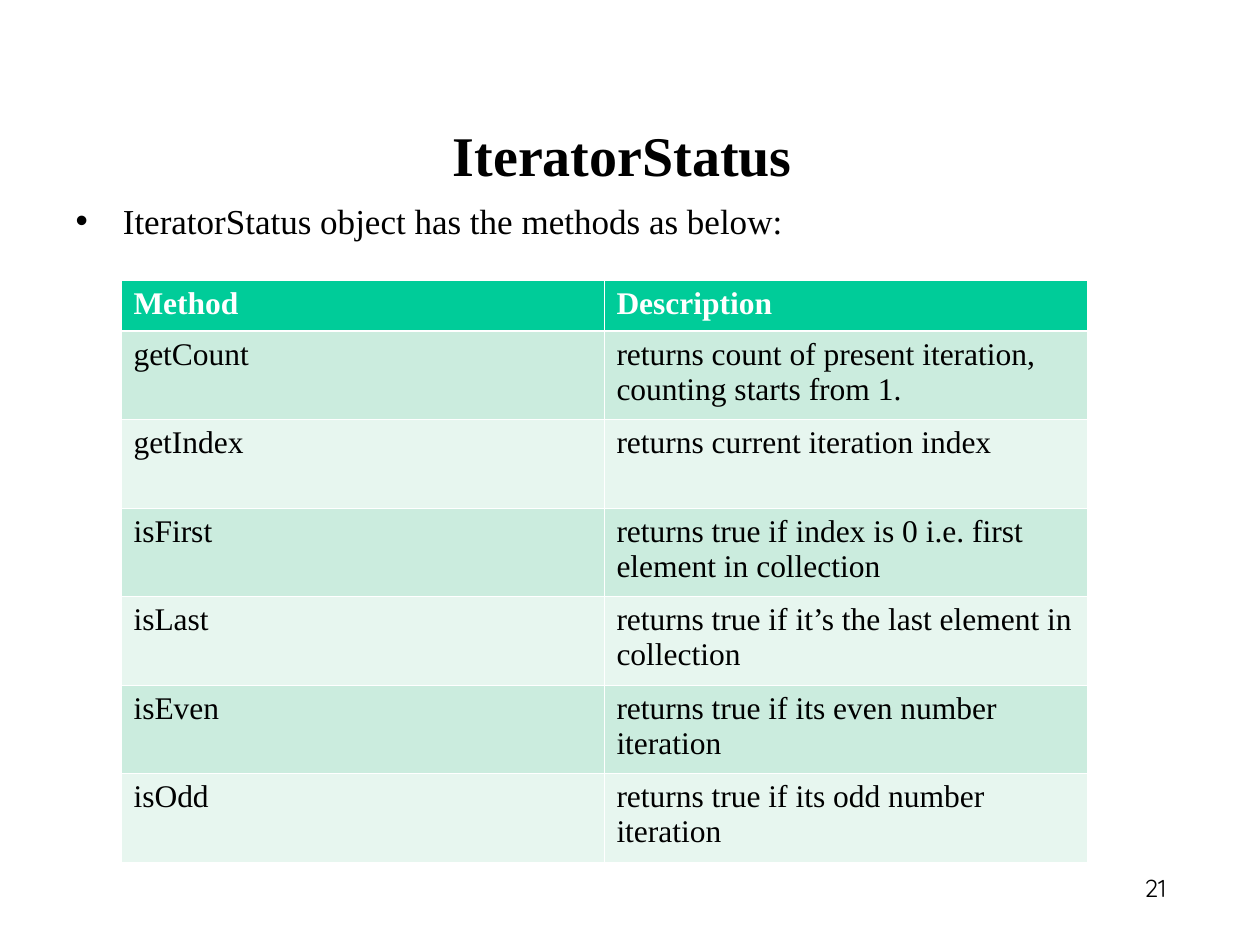
"""Build the slide that lists the IteratorStatus methods in a table."""
import dataclasses

import lxml.etree
import pptx
import pptx.dml.color
import pptx.enum.text
import pptx.oxml.ns
import pptx.util

Pt = pptx.util.Pt
Align = pptx.enum.text.PP_ALIGN
Anchor = pptx.enum.text.MSO_ANCHOR
qn = pptx.oxml.ns.qn


@dataclasses.dataclass(frozen=True)
class Theme:
    serif: str = "Times New Roman"
    sans: str = "Quicksand"
    ink: str = "000000"
    white: str = "FFFFFF"
    header: str = "00CC99"
    bands: tuple = ("CBECDE", "E7F6EF")
    title_size: float = 32
    body_size: float = 20
    table_size: float = 18
    number_size: float = 14
    thin: float = 0.45
    thick: float = 1.47


theme = Theme()


def write(paragraph, text, size, color=theme.ink, bold=False, font=theme.serif):
    run = paragraph.add_run()
    run.text = text
    run.font.name = font
    run.font.size = Pt(size)
    run.font.bold = bold
    run.font.color.rgb = pptx.dml.color.RGBColor.from_string(color)


def border(cell, side, width):
    line = lxml.etree.SubElement(
        cell._tc.get_or_add_tcPr(), qn(f"a:ln{side}"), w=str(int(Pt(width)))
    )
    fill = lxml.etree.SubElement(line, qn("a:solidFill"))
    lxml.etree.SubElement(fill, qn("a:srgbClr"), val=theme.white)


deck = pptx.Presentation()
deck.slide_width, deck.slide_height = Pt(720), Pt(540)
slide = deck.slides.add_slide(deck.slide_layouts[1])

page_number = slide.shapes.add_textbox(Pt(640.8), Pt(486.7), Pt(38.9), Pt(43.9))
page_number.text_frame.word_wrap = True
number_line = page_number.text_frame.paragraphs[0]
number_line.alignment = Align.CENTER
number_line.line_spacing = 1.5
write(number_line, "21", theme.number_size, font=theme.sans)

title = slide.shapes.title
title.left, title.top, title.width, title.height = Pt(28.8), Pt(66.2), Pt(653.8), Pt(43.2)
title.text_frame.vertical_anchor = Anchor.MIDDLE
heading = title.text_frame.paragraphs[0]
heading.alignment = Align.CENTER
write(heading, "IteratorStatus", theme.title_size, bold=True)

intro = slide.placeholders[1]
intro.left, intro.top, intro.width, intro.height = Pt(36), Pt(110.2), Pt(648), Pt(404.6)
bullet = intro.text_frame.paragraphs[0]
bullet.space_before = Pt(5)
indent = int(Pt(27))
bullet_format = bullet._p.get_or_add_pPr()
bullet_format.set("marL", str(indent))
bullet_format.set("indent", str(-indent))
write(bullet, "IteratorStatus object has the methods as below:", theme.body_size)

rows = [
    ("Method", "Description"),
    ("getCount", "returns count of present iteration, counting starts from 1."),
    ("getIndex", "returns current iteration index"),
    ("isFirst", "returns true if index is 0 i.e. first element in collection"),
    ("isLast", "returns true if it’s the last element in collection"),
    ("isEven", "returns true if its even number iteration"),
    ("isOdd", "returns true if its odd number iteration"),
]
header_height, row_height, column_width = 28.8, 50.6, 276
table_height = header_height + row_height * (len(rows) - 1)
methods = slide.shapes.add_table(
    len(rows), 2, Pt(69.1), Pt(160.2), Pt(2 * column_width), Pt(table_height)
).table
for column in methods.columns:
    column.width = Pt(column_width)

for index, texts in enumerate(rows):
    is_header = index == 0
    methods.rows[index].height = Pt(header_height if is_header else row_height)
    background = theme.header if is_header else theme.bands[(index - 1) % 2]
    widths = {
        "L": theme.thin,
        "R": theme.thin,
        "T": theme.thick if index == 1 else theme.thin,
        "B": theme.thick if is_header else theme.thin,
    }
    for column_index, text in enumerate(texts):
        cell = methods.cell(index, column_index)
        for side, width in widths.items():
            border(cell, side, width)
        cell.fill.solid()
        cell.fill.fore_color.rgb = pptx.dml.color.RGBColor.from_string(background)
        write(
            cell.text_frame.paragraphs[0],
            text,
            theme.table_size,
            color=theme.white if is_header else theme.ink,
            bold=is_header,
        )

deck.save("out.pptx")
